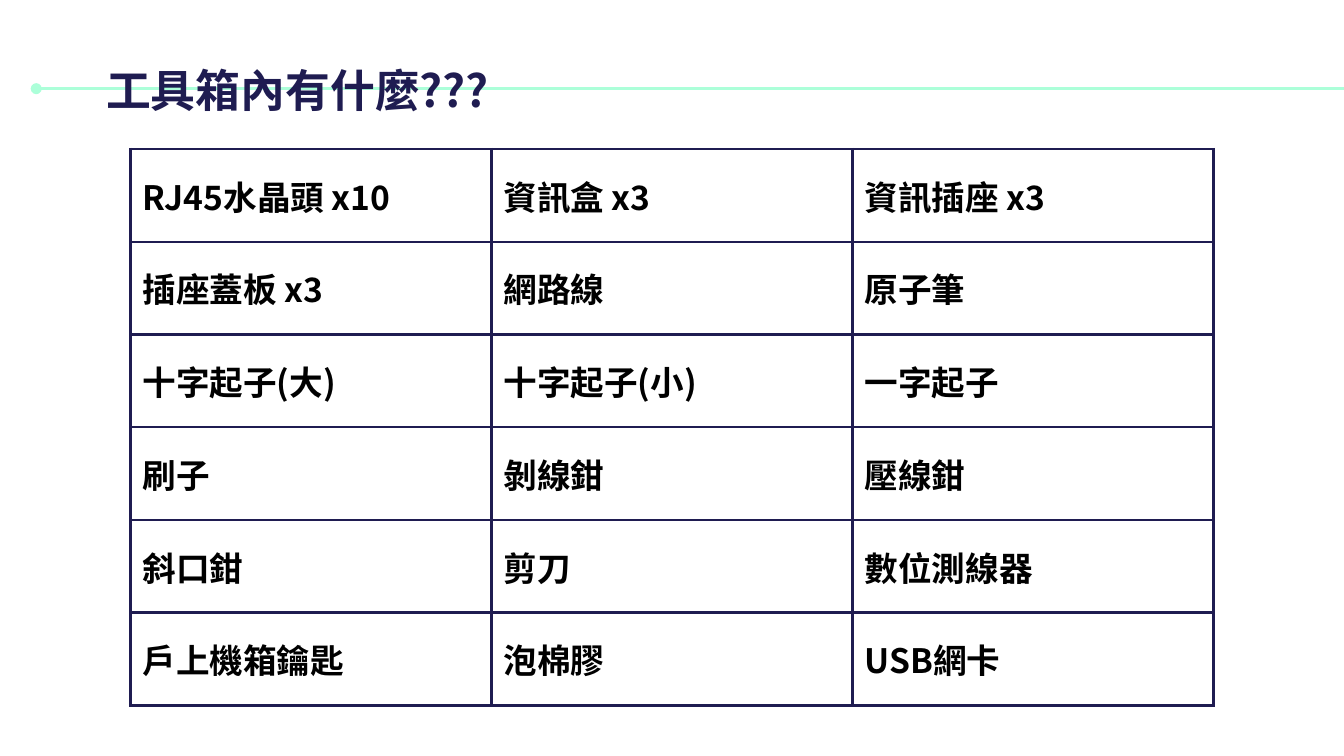
from dataclasses import dataclass

from pptx import Presentation, oxml, util as u
from pptx.dml.color import RGBColor
from pptx.enum import dml, shapes, text
from pptx.oxml import ns


@dataclass(frozen=True)
class Theme:
    """Colours, type sizes and line width of the slide."""
    font: str = "Noto Sans CJK SC"
    navy: str = "1F1C51"
    mint: str = "ACFFD9"
    black: str = "000000"
    white: str = "FFFFFF"
    head: int = 24
    body: int = 18
    rule: float = 1.5


THEME = Theme()
TOOLS = [
    ["RJ45水晶頭 x10", "資訊盒 x3", "資訊插座 x3"],
    ["插座蓋板 x3", "網路線", "原子筆"],
    ["十字起子(大)", "十字起子(小)", "一字起子"],
    ["刷子", "剝線鉗", "壓線鉗"],
    ["斜口鉗", "剪刀", "數位測線器"],
    ["戶上機箱鑰匙", "泡棉膠", "USB網卡"],
]


def style(frame, size, color):
    """Format every run of a text frame."""
    for para in frame.paragraphs:
        para.alignment = text.PP_ALIGN.LEFT
        for run in para.runs:
            font = run.font
            font.size, font.bold = u.Pt(size), True
            font.color.rgb = RGBColor.from_string(color)
            font.name = THEME.font
            east = oxml.parse_xml(f'<a:ea {ns.nsdecls("a")} typeface="{THEME.font}"/>')
            font._element.find(ns.qn("a:latin")).addnext(east)


def add_rule(slide):
    """Draw the mint line that starts with a dot."""
    y = u.Inches(0.66)
    rule = slide.shapes.add_connector(
        shapes.MSO_CONNECTOR.STRAIGHT, u.Inches(0.27), y, u.Inches(10), y)
    rule.line.color.rgb = RGBColor.from_string(THEME.mint)
    rule.line.width = u.Pt(THEME.rule)
    rule.line.dash_style = dml.MSO_LINE.SOLID
    rule.line._get_or_add_ln().append(
        oxml.parse_xml(f'<a:headEnd {ns.nsdecls("a")} type="oval"/>'))
    rule.element.spPr.append(oxml.parse_xml(f'<a:effectLst {ns.nsdecls("a")}/>'))


def add_title(slide, words):
    """Fill the title placeholder and bring it to the front."""
    title = slide.shapes.title
    title.left, title.top = u.Inches(0.69), u.Inches(0.37)
    title.width, title.height = u.Inches(6.65), u.Inches(0.59)
    frame = title.text_frame
    frame.text = words
    frame.auto_size = text.MSO_AUTO_SIZE.NONE
    frame.vertical_anchor = text.MSO_ANCHOR.MIDDLE
    frame.margin_left = frame.margin_right = u.Inches(0.1)
    frame.margin_top = frame.margin_bottom = u.Inches(0.1)
    style(frame, THEME.head, THEME.navy)
    title.element.getparent().append(title.element)


def add_edges(cell):
    """Put a navy border on all four sides of a cell."""
    props = cell._tc.get_or_add_tcPr()
    for spot, side in enumerate("LRTB"):
        props.insert(spot, oxml.parse_xml(
            f'<a:ln{side} {ns.nsdecls("a")} w="{u.Pt(THEME.rule)}"><a:solidFill>'
            f'<a:srgbClr val="{THEME.navy}"/></a:solidFill></a:ln{side}>'))


def add_grid(slide, rows):
    """Add the table of tools with equal columns and rows."""
    grid = slide.shapes.add_table(
        len(rows), len(rows[0]), u.Inches(0.97), u.Inches(1.11),
        u.Inches(8.06), u.Inches(4.14)).table
    grid.first_row = grid.horz_banding = False
    for r, row in enumerate(rows):
        for c, words in enumerate(row):
            cell = grid.cell(r, c)
            cell.text_frame.text = words
            cell.vertical_anchor = text.MSO_ANCHOR.MIDDLE
            cell.margin_left = cell.margin_right = u.Inches(0.09)
            cell.margin_top = cell.margin_bottom = u.Inches(0.05)
            cell.fill.solid()
            cell.fill.fore_color.rgb = RGBColor.from_string(THEME.white)
            style(cell.text_frame, THEME.body, THEME.black)
            add_edges(cell)


def main():
    """Build the toolbox slide and save it."""
    deck = Presentation()
    deck.slide_width = u.Inches(10)
    deck.slide_height = deck.slide_width * 9 // 16
    slide = deck.slides.add_slide(deck.slide_layouts.get_by_name("Title Only"))
    add_rule(slide)
    add_title(slide, "工具箱內有什麼???")
    add_grid(slide, TOOLS)
    deck.save("out.pptx")


if __name__ == "__main__":
    main()
